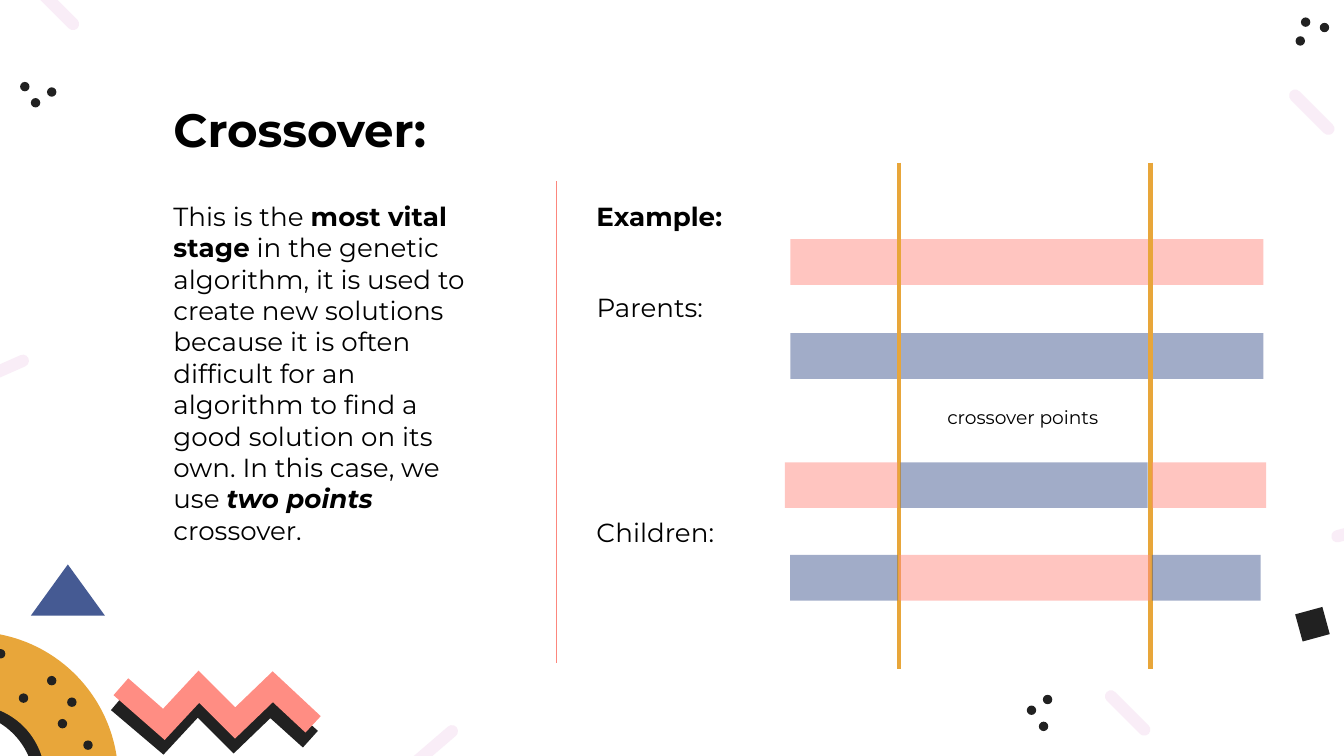
"""Build a slide explaining two-point crossover in a genetic algorithm."""
from dataclasses import dataclass

from lxml.etree import SubElement
from pptx import Presentation
from pptx.dml.color import RGBColor
from pptx.enum.shapes import MSO_CONNECTOR, MSO_SHAPE
from pptx.enum.text import MSO_ANCHOR, MSO_AUTO_SIZE, PP_ALIGN
from pptx.oxml.ns import qn
from pptx.util import Emu, Inches, Pt

COLUMNS, ROWS = 100, 56.25
CELL = Inches(0.1)
FONT = "Montserrat"
COLORS = {
    "ink": "212121",
    "coral": "FF8D83",
    "divider": "FC877D",
    "blue": "455A93",
    "gold": "E8A63A",
    "blush": "F9EDF7",
    "text": "000000",
}


@dataclass(frozen=True)
class Box:
    column: float
    row: float
    columns: float
    rows: float

    def lengths(self) -> list[Emu]:
        return [grid(n) for n in (self.column, self.row, self.columns, self.rows)]


@dataclass(frozen=True)
class Figure:
    kind: MSO_SHAPE
    box: Box
    color: str
    rotation: float = 0
    opacity: int = 100


@dataclass(frozen=True)
class Rule:
    column: float
    top: float
    bottom: float
    color: str
    points: float


@dataclass(frozen=True)
class Zigzag:
    color: str
    corners: tuple


@dataclass(frozen=True)
class Run:
    text: str
    bold: bool = False
    italic: bool = False


@dataclass(frozen=True)
class Label:
    text: str
    box: Box
    size: int = 14
    bold: bool = False


def dot(column: float, row: float) -> Figure:
    return Figure(MSO_SHAPE.OVAL, Box(column, row, 0.7, 0.7), "ink")


def dash(column: float, row: float, rotation: float) -> Figure:
    return Figure(MSO_SHAPE.ROUNDED_RECTANGLE, Box(column, row, 4.4, 0.9), "blush", rotation)


def gene(column: float, row: float, columns: float, color: str) -> Figure:
    return Figure(MSO_SHAPE.RECTANGLE, Box(column, row, columns, 3.4), color, opacity=50)


ZIGZAGS = [
    Zigzag("ink", ((23.1, 55), (20.1, 52.3), (17.4, 54.9), (14.7, 52.2), (12.1, 55), (8.8, 52.2))),
    Zigzag("coral", ((23.3, 53.9), (20.3, 51.1), (17.5, 53.8), (14.8, 51.1), (12.2, 53.9), (9, 51.1))),
]
TRIANGLE = Figure(MSO_SHAPE.ISOSCELES_TRIANGLE, Box(2.3, 42, 5.5, 3.8), "blue")
DONUT = Figure(MSO_SHAPE.DONUT, Box(-13, 47, 21.8, 21.8), "gold")
SPRINKLES = [dot(*place) for place in (
    (-0.3, 48.3), (1.4, 51.6), (4.3, 53.5), (3.5, 50.3), (6.2, 55.1), (5, 51.9))]
SQUARE = Figure(MSO_SHAPE.RECTANGLE, Box(96.6, 45.4, 2.1, 2.1), "ink", 164.7)
DASHES = [dash(*place) for place in (
    (30.1, 55.1, 139.3), (99, 39, 345), (81.7, 52.6, 225),
    (-2.1, 27.1, 156.1), (2, 0.1, 225), (95.4, 7.9, 225))]
DOT_TRIOS = [dot(*place) for place in (
    (1.5, 6.1), (3.5, 6.5), (2.3, 7.3),
    (77.6, 51.7), (77.3, 53.7), (76.4, 52.5),
    (98.2, 1.7), (96.4, 2.7), (96.8, 1.3))]
DIVIDER = Rule(41.4, 13.5, 49.3, "divider", 0.75)
PARENTS = [gene(58.8, 24.8, 35.2, "blue"), gene(58.8, 17.8, 35.2, "coral")]
CROSSOVER_POINTS = [Rule(column, 12.1, 49.8, "gold", 2.25) for column in (66.9, 85.6)]
CHILDREN = [
    gene(66.9, 41.3, 18.7, "coral"),
    gene(67, 34.4, 18.4, "blue"),
    gene(58.4, 34.4, 8.4, "coral"),
    gene(85.7, 34.4, 8.5, "coral"),
    gene(58.8, 41.3, 8, "blue"),
    gene(85.7, 41.3, 8.1, "blue"),
]
TITLE_BOX = Box(11.9, 7, 59, 6.6)
BODY_BOX = Box(11.9, 14.4, 24.2, 26.9)
BODY = [
    Run("This is the "),
    Run("most vital stage", bold=True),
    Run(" in the genetic algorithm, it is used to create new solutions because it is "
        "often difficult for an algorithm to find a good solution on its own. "
        "In this case, we use "),
    Run("two points ", bold=True, italic=True),
    Run("crossover."),
]
LABELS = [
    Label("Example:", Box(43.4, 14.4, 11.4, 3.4), bold=True),
    Label("Parents:", Box(43.4, 21.2, 10.5, 3.4)),
    Label("Children:", Box(43.4, 37.9, 11.3, 3.4)),
    Label("crossover points", Box(69.5, 29.7, 13.5, 2.7), size=10),
]


def grid(cells: float) -> Emu:
    return Emu(round(cells * CELL))


def color_of(name: str) -> RGBColor:
    return RGBColor.from_string(COLORS[name])


def draw_figure(slide, figure: Figure):
    shape = slide.shapes.add_shape(figure.kind, *figure.box.lengths())
    shape.shadow.inherit = False
    shape.fill.solid()
    shape.fill.fore_color.rgb = color_of(figure.color)
    shape.line.fill.background()
    shape.rotation = figure.rotation
    if figure.kind == MSO_SHAPE.ROUNDED_RECTANGLE:
        shape.adjustments[0] = 0.5
    if figure.opacity < 100:
        fill_color = shape._element.spPr.find(qn("a:solidFill")).find(qn("a:srgbClr"))
        SubElement(fill_color, qn("a:alpha"), val=str(figure.opacity * 1000))
    return shape


def draw_donut(slide, figure: Figure) -> None:
    effects = draw_figure(slide, figure)._element.spPr.find(qn("a:effectLst"))
    shadow = SubElement(effects, qn("a:outerShdw"), dist=str(Pt(6.8)),
                        dir=str(145 * 60000), algn="bl", rotWithShape="0")
    SubElement(shadow, qn("a:srgbClr"), val=COLORS["ink"])


def draw_zigzag(slide, zigzag: Zigzag) -> None:
    start, *others = [(grid(column), grid(row)) for column, row in zigzag.corners]
    builder = slide.shapes.build_freeform(*start)
    builder.add_line_segments(others, close=False)
    shape = builder.convert_to_shape()
    shape.shadow.inherit = False
    shape.fill.background()
    shape.line.color.rgb = color_of(zigzag.color)
    shape.line.width = Pt(12)
    SubElement(shape._element.spPr.find(qn("a:ln")), qn("a:miter"), lim="800000")


def draw_rule(slide, rule: Rule) -> None:
    column = grid(rule.column)
    connector = slide.shapes.add_connector(
        MSO_CONNECTOR.STRAIGHT, column, grid(rule.top), column, grid(rule.bottom))
    connector.line.color.rgb = color_of(rule.color)
    connector.line.width = Pt(rule.points)
    SubElement(connector._element.spPr, qn("a:effectLst"))


def write(shape, box: Box, runs: list[Run], size: int) -> None:
    shape.left, shape.top, shape.width, shape.height = box.lengths()
    frame = shape.text_frame
    frame.word_wrap = True
    frame.auto_size = MSO_AUTO_SIZE.NONE
    frame.vertical_anchor = MSO_ANCHOR.TOP
    paragraph = frame.paragraphs[0]
    paragraph.alignment = PP_ALIGN.LEFT
    paragraph.space_before = Pt(0)
    paragraph.font.name = FONT
    paragraph.font.size = Pt(size)
    paragraph.font.color.rgb = color_of("text")
    for piece in runs:
        run = paragraph.add_run()
        run.text = piece.text
        run.font.bold = piece.bold
        run.font.italic = piece.italic


def main() -> None:
    presentation = Presentation()
    presentation.slide_width, presentation.slide_height = grid(COLUMNS), grid(ROWS)
    slide = presentation.slides.add_slide(presentation.slide_layouts[1])
    for zigzag in ZIGZAGS:
        draw_zigzag(slide, zigzag)
    draw_figure(slide, TRIANGLE)
    draw_donut(slide, DONUT)
    for figure in [*SPRINKLES, SQUARE, *DASHES, *DOT_TRIOS, *PARENTS]:
        draw_figure(slide, figure)
    for rule in [DIVIDER, *CROSSOVER_POINTS]:
        draw_rule(slide, rule)
    for figure in CHILDREN:
        draw_figure(slide, figure)

    write(slide.shapes.title, TITLE_BOX, [Run("Crossover:", bold=True)], 25)
    body = slide.placeholders[1]
    write(body, BODY_BOX, BODY, 14)
    properties = body.text_frame.paragraphs[0]._p.get_or_add_pPr()
    properties.set("marL", "0")
    properties.set("indent", "0")
    properties.insert_element_before(properties.makeelement(qn("a:buNone")), "a:defRPr")
    for label in LABELS:
        text_box = slide.shapes.add_textbox(*label.box.lengths())
        write(text_box, label.box, [Run(label.text, label.bold)], label.size)
    presentation.save("out.pptx")


if __name__ == "__main__":
    main()
